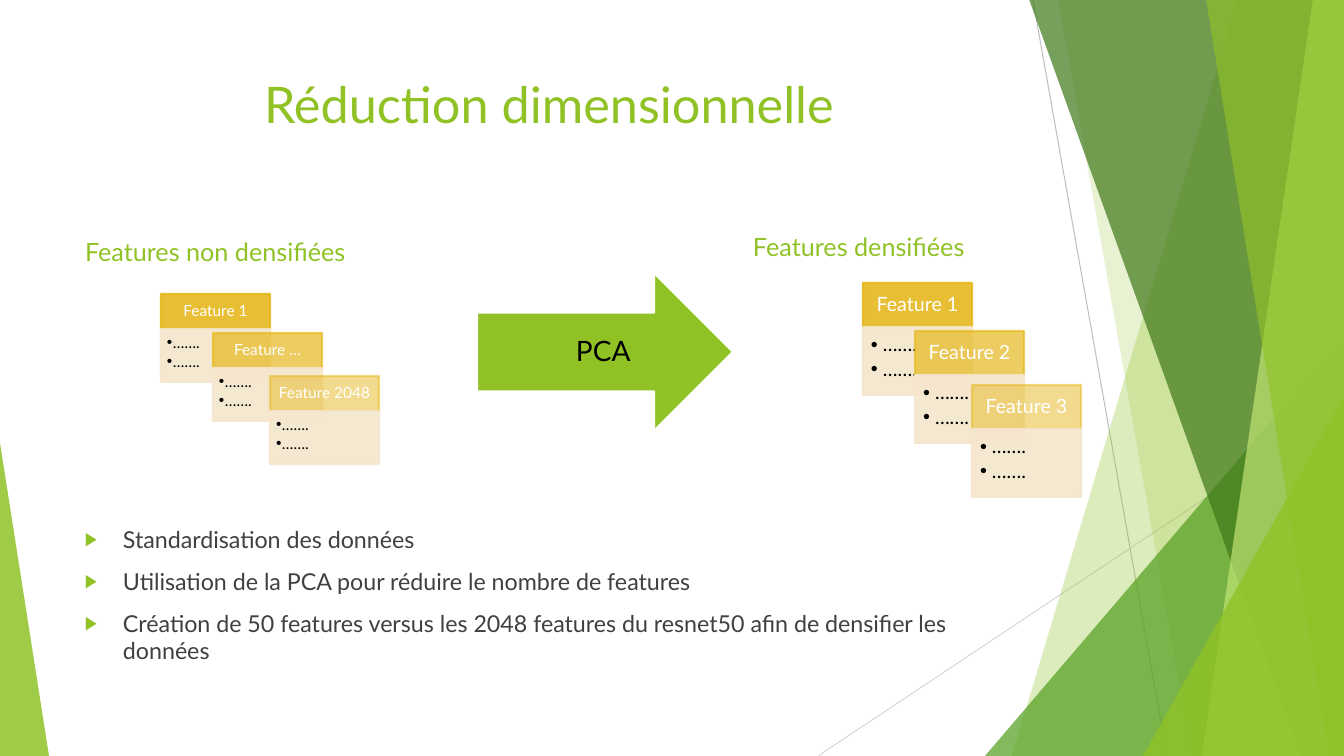
from lxml import etree
from pptx import Presentation
from pptx import util as u
from pptx.dml.color import RGBColor
from pptx.enum import shapes, text
from pptx.oxml.ns import qn

WIDE, HIGH = 1344, 756
SCALE = 12192000 / WIDE
FONT = "Lato"
GREEN = RGBColor(0x90, 0xC2, 0x26)
LEAF = RGBColor(0x54, 0xA0, 0x21)
MOSS = RGBColor(0x3F, 0x78, 0x19)
LIME = RGBColor(0xC0, 0xE4, 0x74)
GOLD = RGBColor(0xE6, 0xB9, 0x1E)
SAND = RGBColor(0xF5, 0xE6, 0xCD)
SILVER = RGBColor(0xBF, 0xBF, 0xBF)
PALE = RGBColor(0xD9, 0xD9, 0xD9)
DARK = RGBColor(0x40, 0x40, 0x40)
BLACK = RGBColor(0, 0, 0)
WHITE = RGBColor(0xFF, 0xFF, 0xFF)

SHARDS = [
    (1238, 1012, GREEN, 30),
    (1058, 1192, GREEN, 20),
    None,
    (1029, 1301, MOSS, 70),
    (1313, 1202, LIME, 70),
    (1206, 1329, GREEN, 65),
]
STEPS = [(0, 0, 90), (52, 39, 70), (109, 82, 50)]


def px(n):
    return u.Emu(round(n * SCALE))


def tint(fill, color, alpha):
    fill.solid()
    fill.fore_color.rgb = color
    if alpha < 100:
        clr = fill._xPr.find(qn("a:solidFill"))[0]
        etree.SubElement(clr, qn("a:alpha"), val=str(alpha * 1000))


def paint(shape, color, alpha=100, edge=None):
    shape.shadow.inherit = False
    tint(shape.fill, color, alpha)
    if edge is None:
        shape.line.fill.background()
    else:
        shape.line.width = u.Pt(1.5)
        tint(shape.line.fill, edge, alpha)


def block(slide, kind, box, color, alpha=100, edge=None):
    shape = slide.shapes.add_shape(kind, *map(px, box))
    paint(shape, color, alpha, edge)
    return shape


def shard(slide, top, base, color, alpha):
    pen = slide.shapes.build_freeform(top, -1, scale=SCALE)
    pen.add_line_segments([(WIDE, -1), (WIDE, HIGH), (base, HIGH)])
    paint(pen.convert_to_shape(), color, alpha)


def wedge(slide, box, peak, color, alpha):
    shape = block(slide, shapes.MSO_SHAPE.ISOSCELES_TRIANGLE, box, color, alpha)
    shape.adjustments[0] = peak


def rule(slide, start, end, color):
    line = slide.shapes.add_connector(
        shapes.MSO_CONNECTOR.STRAIGHT, *map(px, start + end))
    line.line.color.rgb = color
    line.line.width = u.Pt(0.75)
    etree.SubElement(line._element.spPr, qn("a:effectLst"))


def mark(para, char, indent, color=None, size=None):
    props = para._p.get_or_add_pPr()
    props.set("marL", str(px(indent)))
    props.set("indent", str(-px(indent)))
    if color is not None:
        tag = etree.SubElement(props, qn("a:buClr"))
        etree.SubElement(tag, qn("a:srgbClr"), val=str(color))
    if size:
        etree.SubElement(props, qn("a:buSzPct"), val=str(size * 1000))
    etree.SubElement(props, qn("a:buFont"), typeface="Arial")
    etree.SubElement(props, qn("a:buChar"), char=char)


def write(shape, lines, size, color, align=text.PP_ALIGN.LEFT,
          anchor=text.MSO_ANCHOR.TOP, inset=(10, 5, 10, 5),
          bullet=None, before=0, after=0, spacing=None):
    frame = shape.text_frame
    frame.word_wrap = True
    frame.vertical_anchor = anchor
    (frame.margin_left, frame.margin_top,
     frame.margin_right, frame.margin_bottom) = map(px, inset)
    for i, line in enumerate(lines):
        para = frame.add_paragraph() if i else frame.paragraphs[0]
        if bullet:
            mark(para, **bullet)
        para.alignment = align
        if i and before:
            para.space_before = u.Pt(before)
        if after:
            para.space_after = u.Pt(after)
        if spacing:
            para.line_spacing = spacing
        run = para.add_run()
        run.text = line
        run.font.size = u.Pt(size)
        run.font.name = FONT
        run.font.color.rgb = color


def label(slide, box, lines, size, color, **form):
    write(slide.shapes.add_textbox(*map(px, box)), lines, size, color, **form)


def card(slide, left, top, name, alpha, size, head, body, indent):
    rect = shapes.MSO_SHAPE.RECTANGLE
    cap = block(slide, rect, (left, top, 109, head), GOLD, alpha, GOLD)
    write(cap, [name], size, WHITE, align=text.PP_ALIGN.CENTER,
          anchor=text.MSO_ANCHOR.MIDDLE, inset=(5, 5, 5, 5), spacing=0.9)
    base = block(slide, rect, (left, top + head, 109, body), SAND, 90, SAND)
    pad = 6 if size < 14 else 8
    write(base, ["……."] * 2, size, BLACK, inset=(pad, pad, 9, 10),
          bullet={"char": "•", "indent": indent},
          after=size * 0.15, spacing=0.9)


def stack(slide, left, top, names, ratio, **form):
    for name, (dx, dy, alpha) in zip(names, STEPS):
        card(slide, left + dx, top + round(dy * ratio), name, alpha, **form)


def decor(slide):
    rule(slide, (1033, 0), (1167, HIGH), SILVER)
    rule(slide, (WIDE, 406), (818, HIGH), PALE)
    for item in SHARDS:
        if item:
            shard(slide, *item)
        else:
            wedge(slide, (985, 336, 359, 420), 1, LEAF, 72)
    wedge(slide, (1143, 396, 201, 360), 1, GREEN, 80)
    wedge(slide, (0, 443, 49, 313), 0, GREEN, 85)


def main():
    deck = Presentation()
    deck.slide_width, deck.slide_height = px(WIDE), px(HIGH)
    slide = deck.slides.add_slide(deck.slide_layouts[6])
    decor(slide)
    label(slide, (75, 68, 948, 145), ["Réduction dimensionnelle"], 36, GREEN,
          align=text.PP_ALIGN.CENTER)
    label(slide, (75, 520, 948, 145), [
        "Standardisation des données",
        "Utilisation de la PCA pour réduire le nombre de features",
        "Création de 50 features versus les 2048 features du resnet50 "
        "afin de densifier les données",
    ], 16.6, DARK, before=10,
        bullet={"char": "▶", "indent": 38, "color": GREEN, "size": 80})
    label(slide, (75, 231, 298, 40), ["Features non densifiées"], 18, GREEN)
    stack(slide, 161, 294, ["Feature 1", "Feature …", "Feature 2048"], 1,
          size=11, head=35, body=53, indent=6)
    arrow = block(slide, shapes.MSO_SHAPE.RIGHT_ARROW, (477, 273, 256, 158),
                  GREEN, edge=WHITE)
    write(arrow, ["PCA"], 20, BLACK, align=text.PP_ALIGN.CENTER,
          anchor=text.MSO_ANCHOR.MIDDLE, inset=(36, 0, 0, 0), spacing=0.9)
    stack(slide, 863, 283, ["Feature 1", "Feature 2", "Feature 3"], 1.24,
          size=14, head=44, body=68, indent=12)
    label(slide, (743, 226, 298, 40), ["Features densifiées"], 18, GREEN)
    deck.save("out.pptx")


if __name__ == "__main__":
    main()
